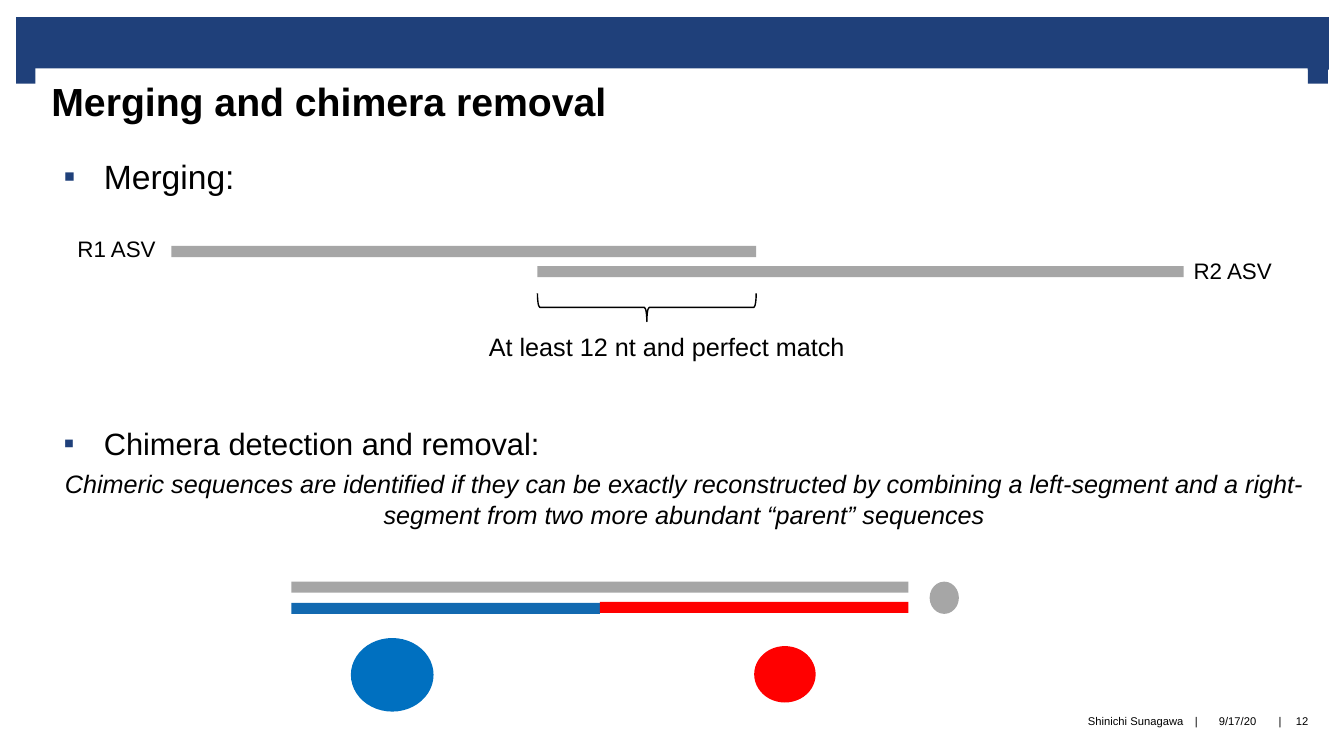
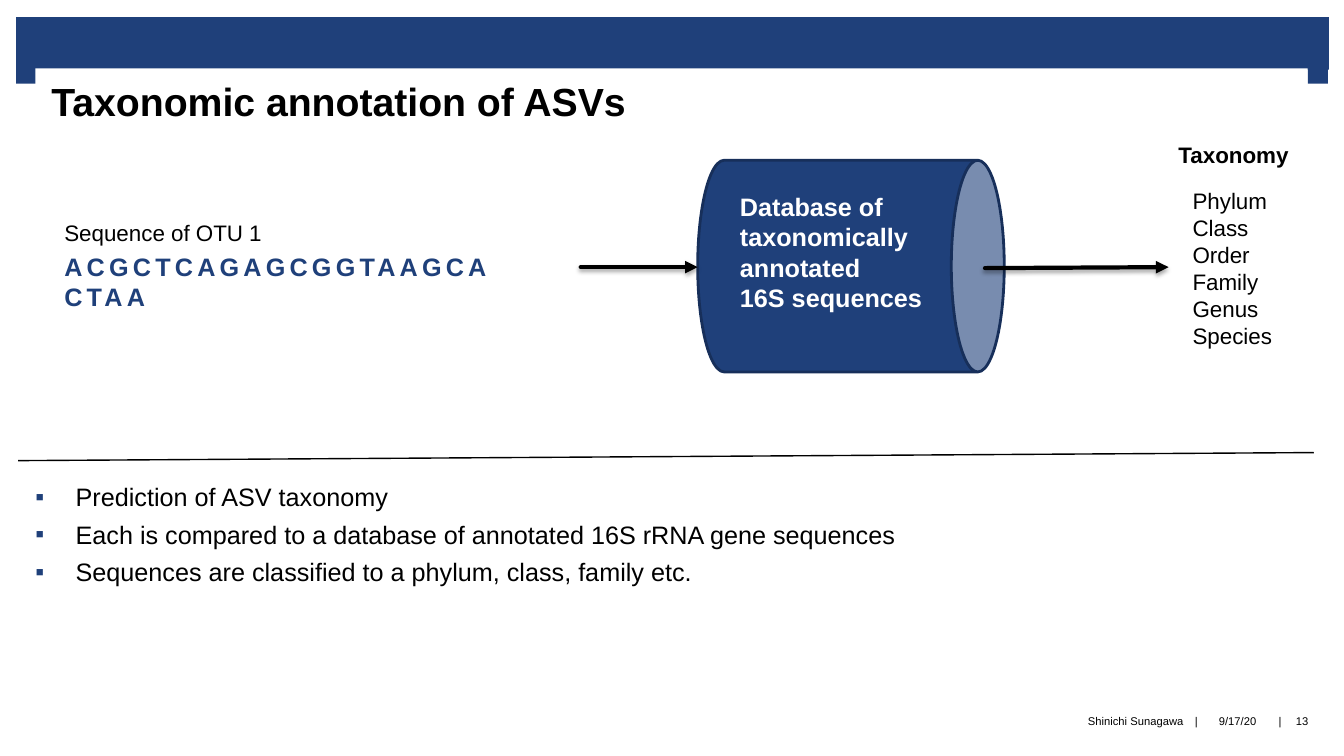
from lxml import etree
from pptx import Presentation
from pptx.dml.color import RGBColor
from pptx.enum.shapes import MSO_CONNECTOR, MSO_SHAPE
from pptx.enum.text import MSO_ANCHOR, PP_ALIGN
from pptx.oxml import parse_xml
from pptx.oxml.ns import nsdecls, qn
from pptx.util import Inches, Pt

RECTANGLE, ELLIPSE = MSO_SHAPE.RECTANGLE, MSO_SHAPE.OVAL
BRACE, CAN = MSO_SHAPE.RIGHT_BRACE, MSO_SHAPE.CAN
STRAIGHT = MSO_CONNECTOR.STRAIGHT
TOP, MIDDLE = MSO_ANCHOR.TOP, MSO_ANCHOR.MIDDLE
LEFT, CENTER, RIGHT = PP_ALIGN.LEFT, PP_ALIGN.CENTER, PP_ALIGN.RIGHT

NAVY = RGBColor(0x1F, 0x40, 0x7A)
DARK_NAVY = RGBColor(0x17, 0x2F, 0x5A)
BLACK = RGBColor(0, 0, 0)
WHITE = RGBColor(255, 255, 255)
GRAY = RGBColor(0xA6, 0xA6, 0xA6)
RED = RGBColor(255, 0, 0)
SEGMENT_BLUE = RGBColor(0x12, 0x69, 0xB0)
PARENT_BLUE = RGBColor(0, 0x70, 0xC0)

FONT = "Arial"
WIDTH, HEIGHT = 13.33, 7.5
BOX_INSETS = (0.1, 0.05, 0.1, 0.05)
BODY_INSETS = (0.15, 0, 0.16, 0)
TITLE_INSETS = (0.16, 0.09, 0.16, 0)
NO_INSETS = (0, 0, 0, 0)

BAND = [(0.16, 0.17, 13.02, 0.52), (0.16, 0.65, 0.2, 0.18), (12.97, 0.65, 0.2, 0.18)]
FOOTER_TOP, FOOTER_HEIGHT = 6.9, 0.5
FOOTER = [
    ("Shinichi Sunagawa", 6.67, 5.07, RIGHT),
    ("|", 11.79, 0.15, CENTER),
    ("9/17/20", 11.94, 0.67, CENTER),
    ("|", 12.62, 0.15, CENTER),
]

MERGING_BODY = [
    ("Merging:", dict(size=24, bullet=True)),
    ("Chimera detection and removal:", dict(size=22, bullet=True, before=163)),
    ("Chimeric sequences are identified if they can be exactly reconstructed by "
     "combining a left-segment and a right-segment from two more abundant “parent” "
     "sequences", dict(size=18, italic=True, align=CENTER, before=5)),
]
TAXONOMY_BODY = [
    "Prediction of ASV taxonomy",
    "Each is compared to a database of annotated 16S rRNA gene sequences",
    "Sequences are classified to a phylum, class, family etc.",
]
RANKS = ["Phylum", "Class", "Order", "Family", "Genus", "Species"]
DATABASE = ["Database of taxonomically annotated", "16S sequences"]

BAR = 0.11
R1_LEFT, R1_RIGHT = 1.7, 7.5
R2_LEFT, R2_RIGHT = 5.33, 11.74
CHIMERA_LEFT, SEGMENT = 2.89, 3.06
ABUNDANCE = [
    (9.22, 5.77, 0.29, 0.32, GRAY),
    (3.48, 6.33, 0.82, 0.73, PARENT_BLUE),
    (7.48, 6.41, 0.61, 0.56, RED),
]
ARROWS = [(5.76, 2.65, 6.92, 2.65), (9.77, 2.66, 11.59, 2.65)]


def add_bullet(paragraph):
    properties = paragraph._p.get_or_add_pPr()
    properties.set("marL", str(Inches(0.4)))
    properties.set("indent", str(-Inches(0.4)))
    color = etree.SubElement(properties, qn("a:buClr"))
    etree.SubElement(color, qn("a:srgbClr")).set("val", str(NAVY))
    etree.SubElement(properties, qn("a:buFont")).set("typeface", FONT)
    etree.SubElement(properties, qn("a:buChar")).set("char", "▪")


def add_text(slide, box, items, insets=BOX_INSETS, anchor=TOP, **shared):
    shape = slide.shapes.add_textbox(*map(Inches, box))
    frame = shape.text_frame
    frame.word_wrap = True
    frame.vertical_anchor = anchor
    (frame.margin_left, frame.margin_top,
     frame.margin_right, frame.margin_bottom) = map(Inches, insets)
    for index, item in enumerate(items):
        text, own = item if isinstance(item, tuple) else (item, {})
        style = {**shared, **own}
        paragraph = frame.paragraphs[0] if index == 0 else frame.add_paragraph()
        paragraph.text = text
        paragraph.alignment = style.get("align", LEFT)
        if index and "before" in style:
            paragraph.space_before = Pt(style["before"])
        if style.get("bullet"):
            add_bullet(paragraph)
        for run in paragraph.runs:
            run.font.name = FONT
            run.font.size = Pt(style["size"])
            run.font.bold = style.get("bold", False)
            run.font.italic = style.get("italic", False)
            run.font.color.rgb = style.get("color", BLACK)
            if "spacing" in style:
                run._r.get_or_add_rPr().set("spc", str(style["spacing"] * 100))
    return shape


def add_shape(slide, kind, box, fill=None, line=None, weight=1):
    shape = slide.shapes.add_shape(kind, *map(Inches, box))
    shape.shadow.inherit = False
    if fill is None:
        shape.fill.background()
    else:
        shape.fill.solid()
        shape.fill.fore_color.rgb = fill
    if line is None:
        shape.line.fill.background()
    else:
        shape.line.color.rgb = line
        shape.line.width = Pt(weight)
    return shape


def add_quarter_turned(slide, kind, box, **style):
    left, top, width, height = box
    shift = (width - height) / 2
    shape = add_shape(slide, kind, (left + shift, top - shift, height, width), **style)
    shape.rotation = 90


def add_line(slide, points, weight, arrow=False):
    connector = slide.shapes.add_connector(STRAIGHT, *map(Inches, points))
    connector.line.color.rgb = BLACK
    connector.line.width = Pt(weight)
    shadow = ""
    if arrow:
        line = connector.line._get_or_add_ln()
        line.set("cap", "rnd")
        etree.SubElement(line, qn("a:tailEnd")).set("type", "triangle")
        shadow = (f'<a:outerShdw blurRad="{Pt(3.1)}" dist="{Pt(1.8)}" dir="5400000" '
                  'rotWithShape="0"><a:srgbClr val="000000"><a:alpha val="35000"/>'
                  '</a:srgbClr></a:outerShdw>')
    connector._element.spPr.append(
        parse_xml(f'<a:effectLst {nsdecls("a")}>{shadow}</a:effectLst>'))


def add_base(presentation, title, number):
    slide = presentation.slides.add_slide(presentation.slide_layouts[6])
    for box in BAND:
        add_shape(slide, RECTANGLE, box, NAVY)
    heading = add_text(slide, (0.35, 0.68, 12.62, 0.67), [title], TITLE_INSETS,
                       size=28, bold=True)
    heading.fill.solid()
    heading.fill.fore_color.rgb = WHITE
    for text, left, width, align in FOOTER + [(str(number), 12.72, 0.39, CENTER)]:
        add_text(slide, (left, FOOTER_TOP, width, FOOTER_HEIGHT), [text], NO_INSETS,
                 MIDDLE, size=8, align=align)
    return slide


def build_merging(presentation):
    slide = add_base(presentation, "Merging and chimera removal", 12)
    add_text(slide, (0.48, 1.55, 12.62, 3.8), MERGING_BODY, BODY_INSETS)
    chimera_middle = CHIMERA_LEFT + SEGMENT
    bars = [
        (R1_LEFT, 2.44, R1_RIGHT - R1_LEFT, GRAY),
        (R2_LEFT, 2.64, R2_RIGHT - R2_LEFT, GRAY),
        (CHIMERA_LEFT, 5.77, 2 * SEGMENT, GRAY),
        (CHIMERA_LEFT, 5.98, SEGMENT, SEGMENT_BLUE),
        (chimera_middle, 5.97, SEGMENT, RED),
    ]
    for left, top, width, color in bars:
        add_shape(slide, RECTANGLE, (left, top, width, BAR), color)
    add_quarter_turned(slide, BRACE, (R2_LEFT, 2.91, R1_RIGHT - R2_LEFT, 0.28), line=BLACK)
    add_text(slide, (4.75, 3.24, 3.83, 0.4), ["At least 12 nt and perfect match"], size=18)
    for text, left, top in [("R1 ASV", 0.67, 2.28), ("R2 ASV", R2_RIGHT, 2.5)]:
        add_text(slide, (left, top, 1, 0.37), [text], size=16)
    for *box, color in ABUNDANCE:
        add_shape(slide, ELLIPSE, box, color)


def build_taxonomy(presentation):
    slide = add_base(presentation, "Taxonomic annotation of ASVs", 13)
    add_text(slide, (0.2, 4.78, 12.62, 1.3), TAXONOMY_BODY, BODY_INSETS,
             size=18, bullet=True, before=5)
    add_quarter_turned(slide, CAN, (6.92, 1.59, 3.04, 2.1), fill=NAVY,
                       line=DARK_NAVY, weight=2)
    add_text(slide, (0.54, 2.13, 3.9, 0.37), ["Sequence of OTU 1"], size=16)
    add_text(slide, (0.54, 2.44, 4.44, 0.7), ["ACGCTCAGAGCGGTAAGCACTAA"],
             size=18, bold=True, color=NAVY, spacing=3)
    add_text(slide, (7.24, 1.85, 2.21, 1.31), DATABASE, size=18, bold=True, color=WHITE)
    add_text(slide, (11.59, 1.35, 1.6, 0.37), ["Taxonomy"], size=16, bold=True)
    add_text(slide, (11.73, 1.81, 1.03, 1.99), RANKS, size=16)
    for points in ARROWS:
        add_line(slide, points, 3, arrow=True)
    add_line(slide, (0.18, 4.57, 13.03, 4.49), 1)


def main():
    presentation = Presentation()
    presentation.slide_width = Inches(WIDTH)
    presentation.slide_height = Inches(HEIGHT)
    build_merging(presentation)
    build_taxonomy(presentation)
    presentation.save("out.pptx")


if __name__ == "__main__":
    main()
